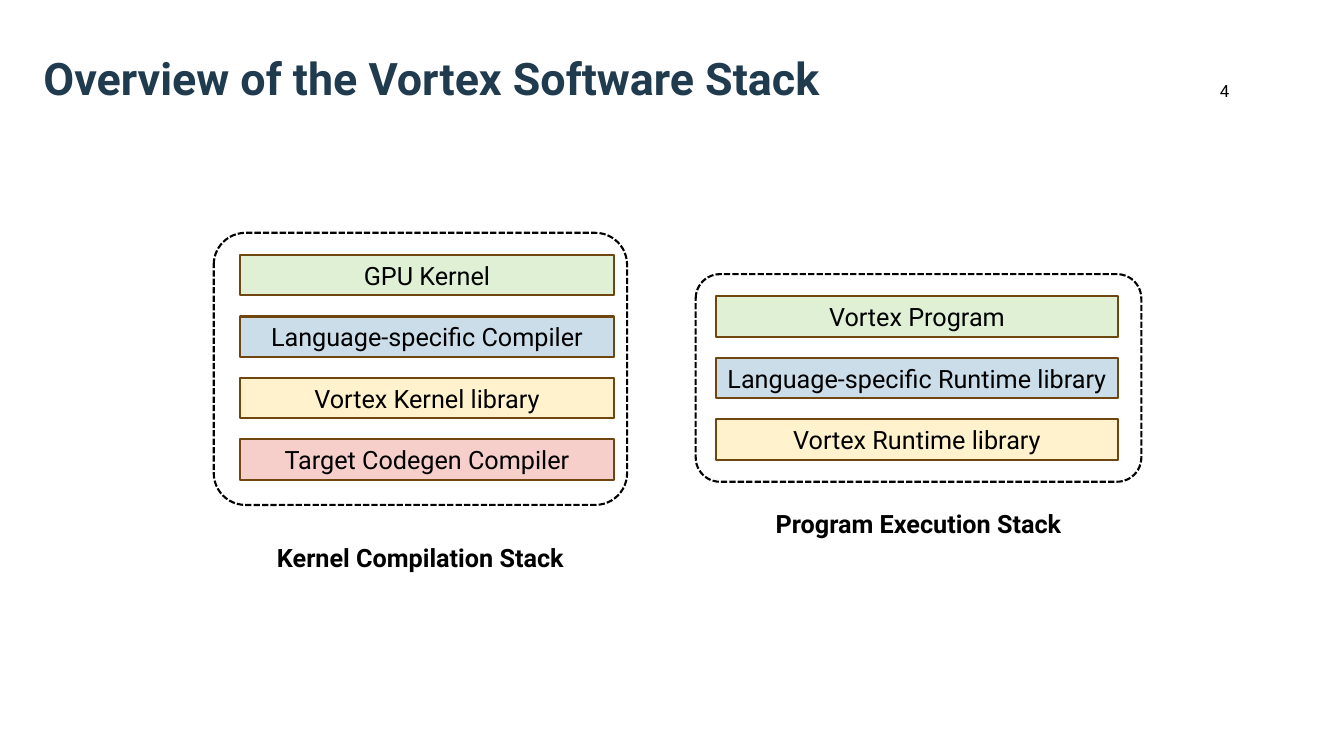
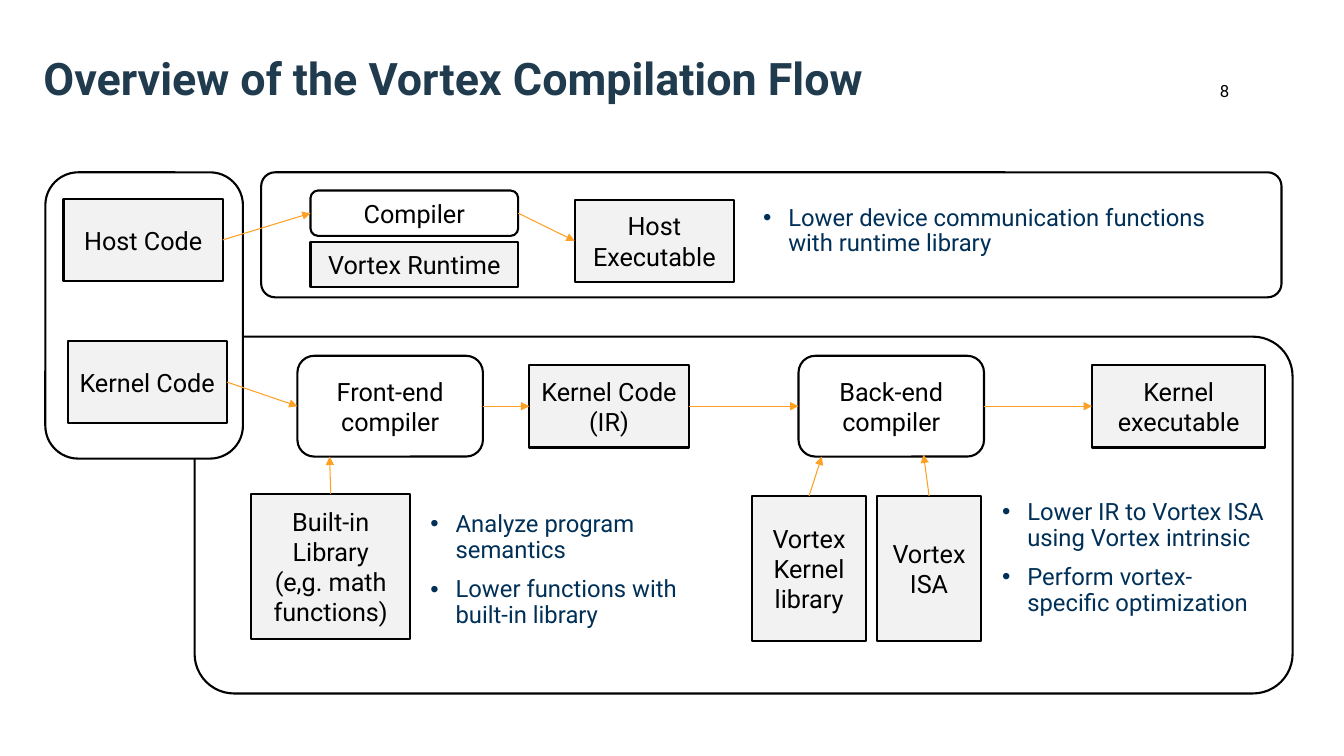
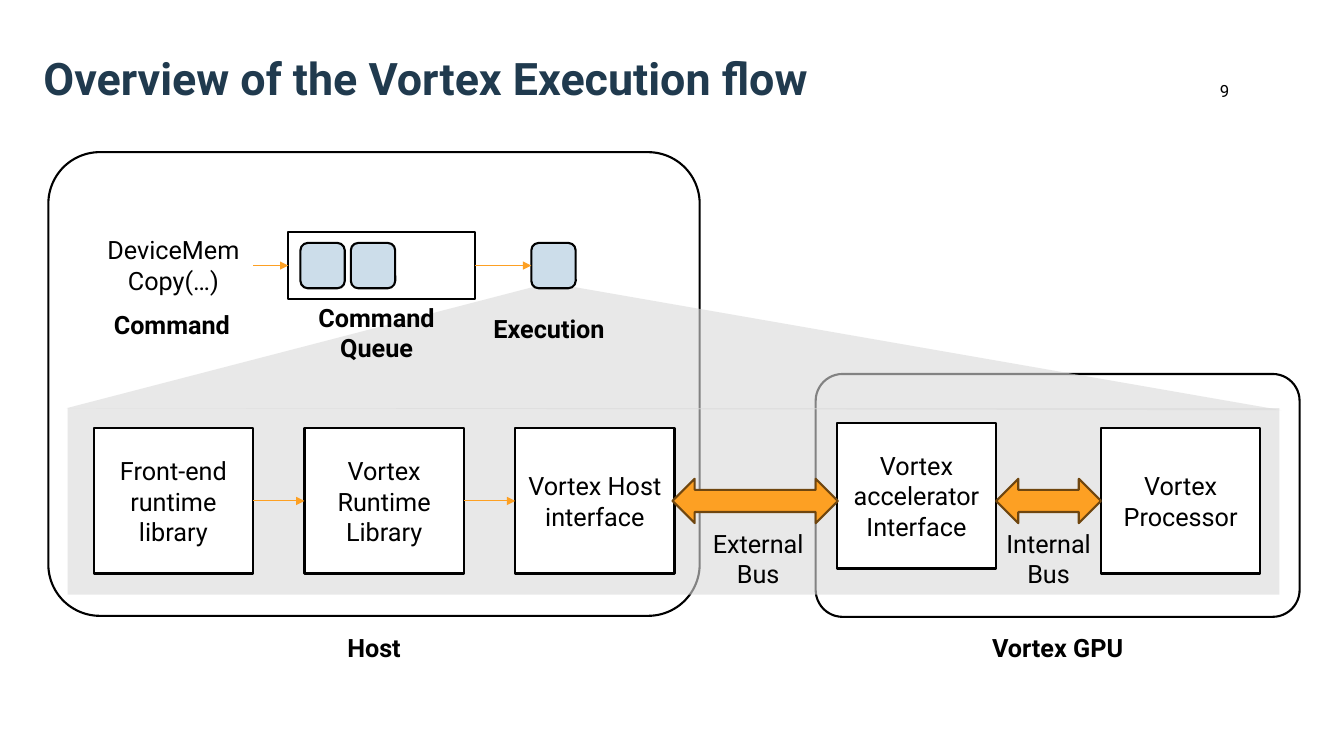
"""Build three slides on the Vortex software stack, compilation flow and execution flow."""
from lxml.etree import SubElement as Sub
from pptx import Presentation
from pptx.dml.color import RGBColor
from pptx.enum.dml import MSO_LINE as Dash
from pptx.enum.shapes import MSO_CONNECTOR as Wire, MSO_SHAPE as Kind
from pptx.enum.text import MSO_ANCHOR as Anchor, MSO_AUTO_SIZE as Fit, PP_ALIGN as Align
from pptx.oxml.ns import qn
from pptx.util import Inches, Pt

FONT = "Roboto"
BLACK, WHITE, GREY, HAZE = "000000", "FFFFFF", "F2F2F2", "D9D9D9"
SLATE, NAVY, AMBER, BROWN = "203A4E", "003057", "FDA023", "6F460F"
GREEN, BLUE, CREAM, PINK = "DFF0D5", "CCDDEA", "FFF2CC", "F6CECA"
RECT, ROUND = Kind.RECTANGLE, Kind.ROUNDED_RECTANGLE
TOP, LEFT, RIGHT = 0, 1, 3
rgb = RGBColor.from_string


def box(page, at, text="", kind=None, fill=None, edge=BLACK, size=18, ink=BLACK,
        bold=False, pad=0.1, align=Align.CENTER, bend=None):
    """Add a preset shape, or a text box when no kind is given."""
    place = [Inches(v) for v in at]
    if kind is None:
        shape = page.shapes.add_textbox(*place)
    else:
        shape = page.shapes.add_shape(kind, *place)
        shape.shadow.inherit = False
        if bend:
            shape.adjustments[0] = bend
        if fill:
            shape.fill.solid()
            shape.fill.fore_color.rgb = rgb(fill)
        else:
            shape.fill.background()
        if edge:
            shape.line.color.rgb = rgb(edge)
            shape.line.width = Pt(1.5)
        else:
            shape.line.fill.background()
    frame = shape.text_frame
    frame.word_wrap = True
    frame.margin_left = frame.margin_right = Inches(pad)
    frame.vertical_anchor = Anchor.MIDDLE if kind else Anchor.TOP
    for n, words in enumerate(text.split("\n") if text else []):
        para = frame.add_paragraph() if n else frame.paragraphs[0]
        para.alignment = align
        run = para.add_run()
        run.text = words
        run.font.name, run.font.size, run.font.bold = FONT, Pt(size), bold
        run.font.color.rgb = rgb(ink)
    return shape


def link(page, src, out, dst, into=None):
    """Draw an arrow from a side of one shape to a side of another, or to a point."""
    x, y = (0, 0) if into is not None else dst
    wire = page.shapes.add_connector(Wire.STRAIGHT, 0, 0, Inches(x), Inches(y))
    wire.begin_connect(src, out)
    if into is not None:
        wire.end_connect(dst, into)
    wire.line.color.rgb = rgb(AMBER)
    wire.line.width = Pt(0.75)
    props = wire._element.spPr
    Sub(props.find(qn("a:ln")), qn("a:tailEnd"), type="triangle")
    Sub(props, qn("a:effectLst"))


deck = Presentation()
deck.slide_width, deck.slide_height = Inches(13.33), Inches(7.5)

pages = []
for name, number in [("Overview of the Vortex Software Stack", "4"),
                     ("Overview of the Vortex Compilation Flow", "8"),
                     ("Overview of the Vortex Execution flow", "9")]:
    page = deck.slides.add_slide(deck.slide_layouts[5])
    title = page.shapes.title
    title.left, title.top = Inches(0.33), Inches(0.17)
    title.width, title.height = Inches(12.33), Inches(0.92)
    frame = title.text_frame
    frame.auto_size, frame.word_wrap = Fit.NONE, True
    frame.vertical_anchor = Anchor.BOTTOM
    para = frame.paragraphs[0]
    para.alignment = Align.LEFT
    run = para.add_run()
    run.text = name
    run.font.name, run.font.size, run.font.bold = FONT, Pt(32), True
    run.font.color.rgb = rgb(SLATE)
    box(page, (12, 0.75, 1.33, 0.4), number, size=12, align=Align.LEFT)
    pages.append(page)
stack, build, flow = pages

for outer, inner, caption, low, rows in [
    ((2.12, 2.31, 4.1, 2.7), (2.38, 3.71), "Kernel Compilation Stack", 5.33,
     [("GPU Kernel", GREEN), ("Language-specific Compiler", BLUE),
      ("Vortex Kernel library", CREAM), ("Target Codegen Compiler", PINK)]),
    ((6.9, 2.72, 4.42, 2.06), (7.1, 3.99), "Program Execution Stack", 4.99,
     [("Vortex Program", GREEN), ("Language-specific Runtime library", BLUE),
      ("Vortex Runtime library", CREAM)]),
]:
    x, y, wide, high = outer
    box(stack, outer, kind=ROUND, bend=0.117).line.dash_style = Dash.SQUARE_DOT
    for n, (label, tint) in enumerate(rows):
        box(stack, (inner[0], y + 0.22 + 0.61 * n, inner[1], 0.4), label, RECT, tint,
            BROWN, pad=0)
    box(stack, (x, low, wide, 0.4), caption, bold=True, pad=0)

box(build, (1.93, 3.34, 10.89, 3.54), kind=ROUND, fill=WHITE, bend=0.111)
box(build, (2.59, 1.71, 10.12, 1.24), kind=ROUND, fill=WHITE, bend=0.111)
box(build, (0.45, 1.71, 1.96, 2.84), kind=ROUND, fill=WHITE)

parts = {}
for key, at, label in [
    ("host", (0.63, 1.97, 1.58, 0.82), "Host Code"),
    ("kernel", (0.67, 3.38, 1.58, 0.82), "Kernel Code"),
    ("runtime", (3.08, 2.4, 2.06, 0.45), "Vortex Runtime"),
    ("binary", (5.7, 1.98, 1.58, 0.82), "Host\nExecutable"),
    ("code", (5.25, 3.62, 1.58, 0.82), "Kernel Code\n(IR)"),
    ("output", (10.83, 3.62, 1.72, 0.82), "Kernel executable"),
    ("math", (2.49, 4.9, 1.58, 1.44), "Built-in Library\n(e,g. math functions)"),
    ("lib", (7.46, 4.92, 1.13, 1.44), "Vortex\nKernel library"),
    ("isa", (8.7, 4.92, 1.03, 1.44), "Vortex ISA"),
]:
    parts[key] = box(build, at, label, RECT, GREY)
for key, at, label in [
    ("tool", (3.08, 1.89, 2.06, 0.45), "Compiler"),
    ("front", (2.95, 3.53, 1.84, 1), "Front-end compiler"),
    ("back", (7.92, 3.53, 1.84, 1), "Back-end compiler"),
]:
    parts[key] = box(build, at, label, ROUND, WHITE)

for src, dst in [("host", "tool"), ("tool", "binary"), ("kernel", "front"),
                 ("front", "code"), ("code", "back"), ("back", "output")]:
    link(build, parts[src], RIGHT, parts[dst], LEFT)
for src, point in [("math", (3.27, 4.53)), ("lib", (8.15, 4.53)), ("isa", (9.16, 4.51))]:
    link(build, parts[src], TOP, point)

for at, text in [
    ((7.47, 1.99, 5.08, 1.12), "Lower device communication functions with runtime library"),
    ((4.17, 5.03, 3.12, 2), "Analyze program semantics\nLower functions with built-in library"),
    ((9.84, 4.91, 2.82, 1.5),
     "Lower IR to Vortex ISA using Vortex intrinsic\nPerform vortex-specific optimization"),
]:
    notes = box(build, at, text, size=17, ink=NAVY, align=Align.LEFT)
    for n, para in enumerate(notes.text_frame.paragraphs):
        props = para._p.get_or_add_pPr()
        props.set("marL", str(Inches(0.25)))
        props.set("indent", str(-Inches(0.25)))
        Sub(props, qn("a:buFont"), typeface="Arial")
        Sub(props, qn("a:buChar"), char="•")
        para.line_spacing = 0.9
        para.space_before = Pt(10 if n else 0)

box(flow, (8.09, 3.71, 4.8, 2.41), kind=ROUND, fill=WHITE, bend=0.111)
box(flow, (0.48, 1.51, 6.46, 4.6), kind=ROUND, fill=WHITE, bend=0.111)

floor = box(flow, (0.67, 4.05, 12.02, 1.85), kind=RECT, fill=HAZE, edge=None)
pen = flow.shapes.build_freeform(Inches(5.28), Inches(2.85))
pen.add_line_segments([(Inches(x), Inches(y)) for x, y in
                       [(0.66, 4.05), (12.71, 4.07), (5.65, 2.84)]])
beam = pen.convert_to_shape()
beam.shadow.inherit = False
beam.fill.solid()
beam.fill.fore_color.rgb = rgb(HAZE)
beam.line.fill.background()
for veil in (floor, beam):
    tint = veil._element.spPr.find(qn("a:solidFill")).find(qn("a:srgbClr"))
    Sub(tint, qn("a:alpha"), val="60000")

call = box(flow, (0.93, 2.28, 1.58, 0.71), "DeviceMemCopy(…)")
queue = box(flow, (2.86, 2.3, 1.85, 0.67), kind=RECT, fill=WHITE)
for x in (2.98, 3.48, 5.27):
    job = box(flow, (x, 2.41, 0.44, 0.45), kind=ROUND, fill=BLUE)
link(flow, call, RIGHT, queue, LEFT)
link(flow, queue, RIGHT, job, LEFT)

steps = []
for n, label in enumerate(["Front-end runtime library", "Vortex Runtime Library",
                           "Vortex Host interface"]):
    steps.append(box(flow, (0.93 + 2.09 * n, 4.25, 1.58, 1.44), label, RECT, WHITE))
for src, dst in zip(steps, steps[1:]):
    link(flow, src, RIGHT, dst, LEFT)
box(flow, (8.3, 4.2, 1.58, 1.44), "Vortex accelerator Interface", RECT, WHITE)
box(flow, (10.92, 4.25, 1.58, 1.44), "Vortex Processor", RECT, WHITE)

for x, wide, label, left in [(6.67, 1.64, "External\nBus", 6.46),
                             (9.88, 1.04, "Internal\nBus", 9.34)]:
    box(flow, (x, 4.75, wide, 0.44), kind=Kind.LEFT_RIGHT_ARROW, fill=AMBER, edge=BROWN)
    box(flow, (left, 5.19, 2.12, 0.71), label)

for at, label in [
    ((0.78, 3.02, 1.85, 0.4), "Command"),
    ((2.81, 2.95, 1.85, 0.71), "Command\nQueue"),
    ((4.7, 3.06, 1.49, 0.4), "Execution"),
    ((0.48, 6.22, 6.46, 0.4), "Host"),
    ((8.09, 6.22, 4.8, 0.4), "Vortex GPU"),
]:
    box(flow, at, label, bold=True, pad=0)

deck.save("out.pptx")
